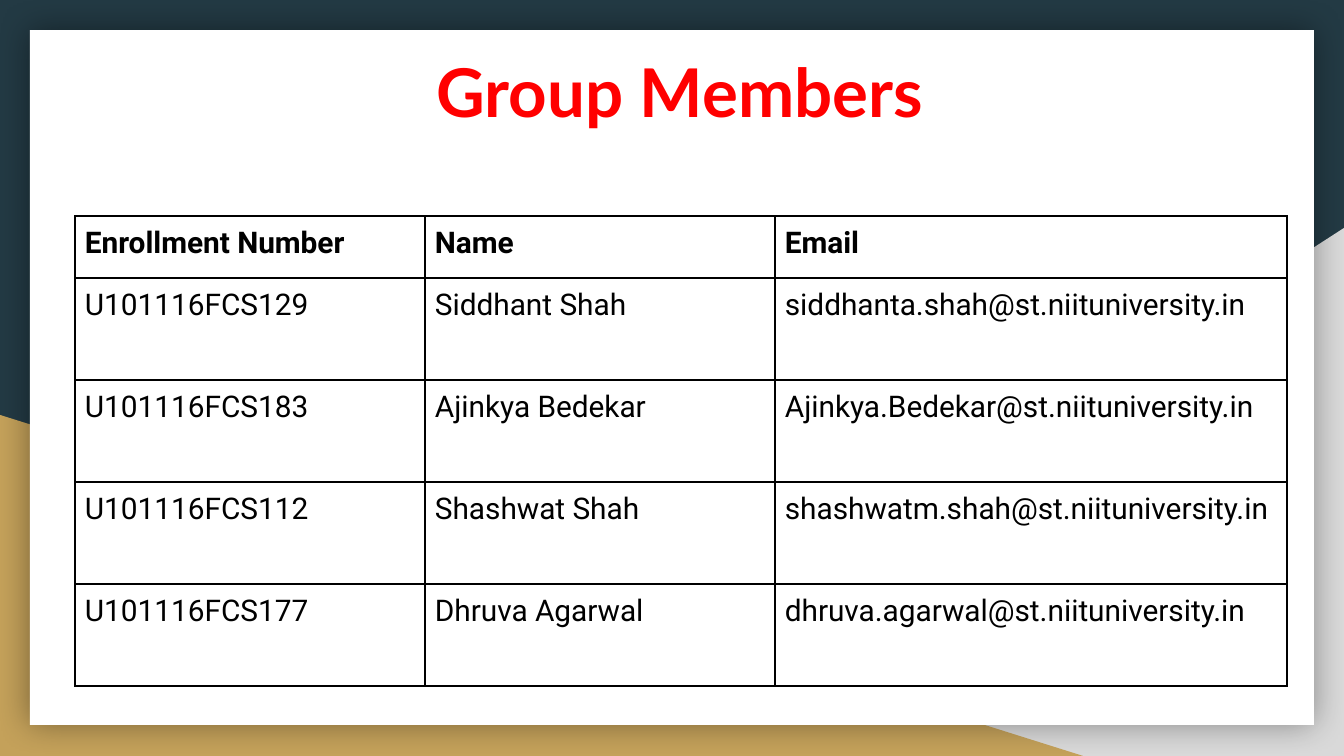
from lxml.etree import SubElement
from pptx import Presentation
from pptx.dml.color import RGBColor
from pptx.enum.shapes import MSO_SHAPE as Shape
from pptx.enum.text import MSO_ANCHOR as Anchor, PP_ALIGN as Align
from pptx.oxml.ns import qn
from pptx.util import Pt

EMU_PER_PX = 914400 / 134.4

NAVY = RGBColor(0x23, 0x3A, 0x44)
GREY = RGBColor(0xD9, 0xD9, 0xD9)
GOLD = RGBColor(0xC4, 0xA1, 0x5A)
WHITE = RGBColor(0xFF, 0xFF, 0xFF)
BLACK = RGBColor(0, 0, 0)
RED = RGBColor(0xFF, 0, 0)

HEADINGS = ("Enrollment Number", "Name", "Email")
MEMBERS = (
    ("U101116FCS129", "Siddhant Shah", "siddhanta.shah@st.niituniversity.in"),
    ("U101116FCS183", "Ajinkya Bedekar", "Ajinkya.Bedekar@st.niituniversity.in"),
    ("U101116FCS112", "Shashwat Shah", "shashwatm.shah@st.niituniversity.in"),
    ("U101116FCS177", "Dhruva Agarwal", "dhruva.agarwal@st.niituniversity.in"),
)
COLUMN_WIDTHS = (350, 350, 512)
HEADING_HEIGHT = 62
MEMBER_HEIGHT = 102


def px(length):
    return round(length * EMU_PER_PX)


def write_text(frame, text, *, size, font, color, bold=False, align=Align.LEFT):
    paragraph = frame.paragraphs[0]
    paragraph.alignment = align
    run = paragraph.add_run()
    run.text = text
    run.font.size = Pt(size)
    run.font.name = font
    run.font.color.rgb = color
    run.font.bold = bold


def add_panel(slide, kind, box, color):
    panel = slide.shapes.add_shape(kind, *map(px, box))
    panel.shadow.inherit = False
    panel.fill.solid()
    panel.fill.fore_color.rgb = color
    panel.line.fill.background()
    return panel


def add_glow(panel, blur, opacity):
    effects = panel._element.spPr.find(qn("a:effectLst"))
    shadow = SubElement(effects, qn("a:outerShdw"), blurRad=str(Pt(blur)),
                        dist="0", dir="0", algn="ctr", rotWithShape="0")
    color = SubElement(shadow, qn("a:srgbClr"), val=str(BLACK))
    SubElement(color, qn("a:alpha"), val=str(opacity * 1000))


def add_backdrop(slide):
    slide.background.fill.solid()
    slide.background.fill.fore_color.rgb = NAVY
    grey_corner = add_panel(slide, Shape.RIGHT_TRIANGLE, (527, 228, 817, 528), GREY)
    grey_corner._element.spPr.xfrm.set("flipH", "1")
    add_panel(slide, Shape.RIGHT_TRIANGLE, (0, 415, 1083, 341), GOLD)
    card = add_panel(slide, Shape.RECTANGLE, (30, 30, 1284, 695), WHITE)
    add_glow(card, blur=18, opacity=40)


def add_title(slide, text):
    title = slide.shapes.add_textbox(*map(px, (106, 36, 1164, 110)))
    frame = title.text_frame
    frame.word_wrap = True
    frame.vertical_anchor = Anchor.MIDDLE
    write_text(frame, text, size=36, font="Lato", color=RED, bold=True,
               align=Align.CENTER)


def add_borders(cell):
    properties = cell._tc.get_or_add_tcPr()
    for position, side in enumerate(("lnL", "lnR", "lnT", "lnB")):
        line = properties.makeelement(qn(f"a:{side}"), {"w": str(Pt(1))})
        fill = SubElement(line, qn("a:solidFill"))
        SubElement(fill, qn("a:srgbClr"), val=str(BLACK))
        properties.insert(position, line)


def fill_cell(cell, text, bold):
    cell.fill.background()
    cell.margin_left = cell.margin_right = px(10)
    cell.margin_top = cell.margin_bottom = px(10)
    add_borders(cell)
    write_text(cell.text_frame, text, size=16, font="Roboto", color=BLACK, bold=bold)


def add_member_table(slide, left, top):
    rows = (HEADINGS, *MEMBERS)
    heights = (HEADING_HEIGHT, *[MEMBER_HEIGHT] * len(MEMBERS))
    table = slide.shapes.add_table(
        len(rows), len(HEADINGS), px(left), px(top),
        px(sum(COLUMN_WIDTHS)), px(sum(heights))).table
    table.horz_banding = False
    table.first_row = False
    for column, width in zip(table.columns, COLUMN_WIDTHS):
        column.width = px(width)
    for row_number, (texts, height) in enumerate(zip(rows, heights)):
        table.rows[row_number].height = px(height)
        for column_number, text in enumerate(texts):
            fill_cell(table.cell(row_number, column_number), text,
                      bold=row_number == 0)


def main():
    presentation = Presentation()
    presentation.slide_width = px(1344)
    presentation.slide_height = px(756)
    slide = presentation.slides.add_slide(presentation.slide_layouts[6])
    add_backdrop(slide)
    add_member_table(slide, left=75, top=216)
    add_title(slide, "Group Members ")
    presentation.save("out.pptx")


if __name__ == "__main__":
    main()
